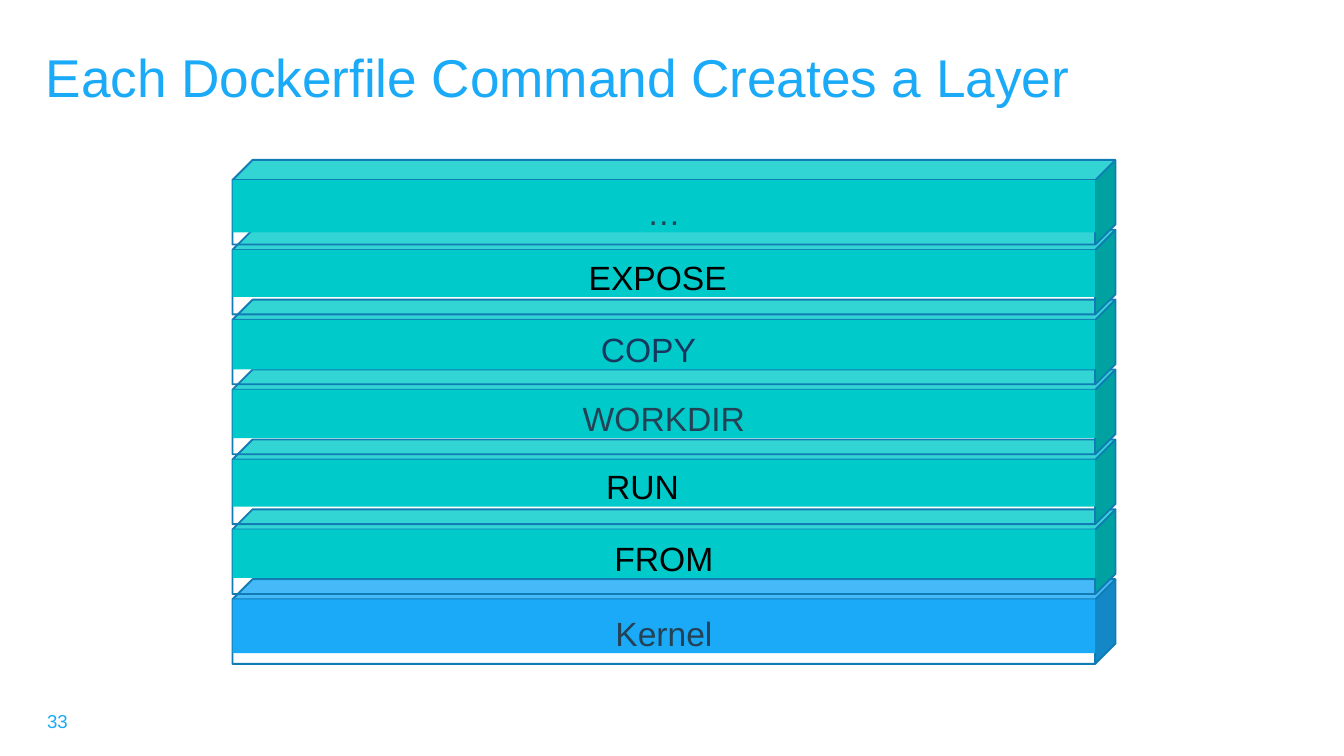
from lxml.etree import SubElement
from pptx import Presentation
from pptx.dml.color import RGBColor
from pptx.enum.shapes import MSO_CONNECTOR, MSO_SHAPE
from pptx.enum.text import MSO_ANCHOR, MSO_AUTO_SIZE, PP_ALIGN
from pptx.oxml.ns import qn
from pptx.util import Inches, Pt

BLUE = RGBColor(0x1A, 0xAA, 0xF7)
BLUE_TOP = RGBColor(0x46, 0xBA, 0xF9)
BLUE_SIDE = RGBColor(0x14, 0x87, 0xC6)
TEAL = RGBColor(0x00, 0xCA, 0xCA)
TEAL_TOP = RGBColor(0x33, 0xD4, 0xD4)
TEAL_SIDE = RGBColor(0x00, 0xA1, 0xA1)
EDGE = RGBColor(0x11, 0x7C, 0xB3)
SLATE = RGBColor(0x24, 0x42, 0x56)
NAVY = RGBColor(0x17, 0x37, 0x5E)
BLACK = RGBColor(0, 0, 0)

KERNEL = (BLUE, BLUE_TOP, BLUE_SIDE)
COMMAND = (TEAL, TEAL_TOP, TEAL_SIDE)

LEFT, WIDTH, HEIGHT, DEPTH = 1.73, 6.42, 0.48, 0.15
BASE, PITCH = 4.31, 0.52

# From the bottom up: label, text colour, front height, indent (None: centred), faces
LAYERS = [
    ("Kernel", SLATE, 0.4, None, KERNEL),
    ("FROM", BLACK, 0.36, None, COMMAND),
    ("RUN", BLACK, 0.35, 2.78, COMMAND),
    ("WORKDIR", SLATE, 0.36, None, COMMAND),
    ("COPY", NAVY, 0.37, 2.74, COMMAND),
    ("EXPOSE", BLACK, 0.35, 2.65, COMMAND),
    ("…", SLATE, 0.39, None, COMMAND),
]


def write(shape, text, size, color, align=PP_ALIGN.LEFT, anchor=MSO_ANCHOR.TOP,
          inset=0, indent=0):
    """Fill a shape with one line; inset is the top margin, in inches."""
    frame = shape.text_frame
    frame.auto_size = MSO_AUTO_SIZE.NONE
    frame.word_wrap = True
    frame.vertical_anchor = anchor
    frame.margin_left = frame.margin_right = frame.margin_bottom = 0
    frame.margin_top = Inches(inset)
    line = frame.paragraphs[0]
    line.alignment = align
    if indent:
        props = line._p.get_or_add_pPr()
        props.set("marL", str(Inches(indent)))
        props.set("indent", "0")
    run = line.add_run()
    run.text = text
    run.font.name = "Arial"
    run.font.size = Pt(size)
    run.font.color.rgb = color


def paint(shape, fill=None, line=None):
    shape.shadow.inherit = False
    if fill is None:
        shape.fill.background()
    else:
        shape.fill.solid()
        shape.fill.fore_color.rgb = fill
    if line is None:
        shape.line.fill.background()
    else:
        shape.line.color.rgb = line
        shape.line.width = Pt(1)


def trace(shapes, points, close=True, **colors):
    spots = [(Inches(x), Inches(y)) for x, y in points]
    builder = shapes.build_freeform(*spots[0])
    builder.add_line_segments(spots[1:], close=close)
    paint(builder.convert_to_shape(), **colors)


def edge(shapes, x, top, end):
    line = shapes.add_connector(MSO_CONNECTOR.STRAIGHT, Inches(x), Inches(top),
                                Inches(x), Inches(end))
    line.line.color.rgb = EDGE
    line.line.width = Pt(1)
    SubElement(line._element.spPr, qn("a:effectLst"))


def layer(shapes, top, label, color, height, indent, faces):
    """Draw one slab of the stack with its label on the front."""
    front, lid, side = faces
    right = LEFT + WIDTH
    near = top + DEPTH
    low = near + HEIGHT
    a, b = (LEFT, near), (LEFT + DEPTH, top)
    c, d = (right + DEPTH, top), (right + DEPTH, top + HEIGHT)
    e, f, g = (right, low), (LEFT, low), (right, near)
    trace(shapes, [e, g, c, d], fill=side)
    trace(shapes, [g, a, b, c], fill=lid)
    trace(shapes, [a, b, c, d, e, f], line=EDGE)
    trace(shapes, [a, g, c], close=False, line=EDGE)
    edge(shapes, right, near, low)
    box = shapes.add_shape(MSO_SHAPE.RECTANGLE, Inches(LEFT), Inches(near),
                           Inches(WIDTH), Inches(height))
    paint(box, fill=front)
    align = PP_ALIGN.CENTER if indent is None else PP_ALIGN.LEFT
    write(box, label, 18, color, align=align, anchor=MSO_ANCHOR.BOTTOM,
          indent=indent or 0)


def main():
    deck = Presentation()
    deck.slide_width = Inches(10)
    deck.slide_height = deck.slide_width * 9 // 16
    shapes = deck.slides.add_slide(deck.slide_layouts[5]).shapes

    title = shapes.title
    title.left, title.top = Inches(0.33), Inches(0.31)
    title.width, title.height = Inches(7.73), Inches(0.96)
    write(title, "Each Dockerfile Command Creates a Layer", 28.5, BLUE,
          inset=0.02, indent=0.01)

    for i, row in enumerate(LAYERS):
        layer(shapes, BASE - i * PITCH, *row)

    number = shapes.add_textbox(Inches(0.32), Inches(5.28), Inches(0.21), Inches(0.2))
    write(number, "33", 10, BLUE, indent=0.03)

    deck.save("out.pptx")


if __name__ == "__main__":
    main()
